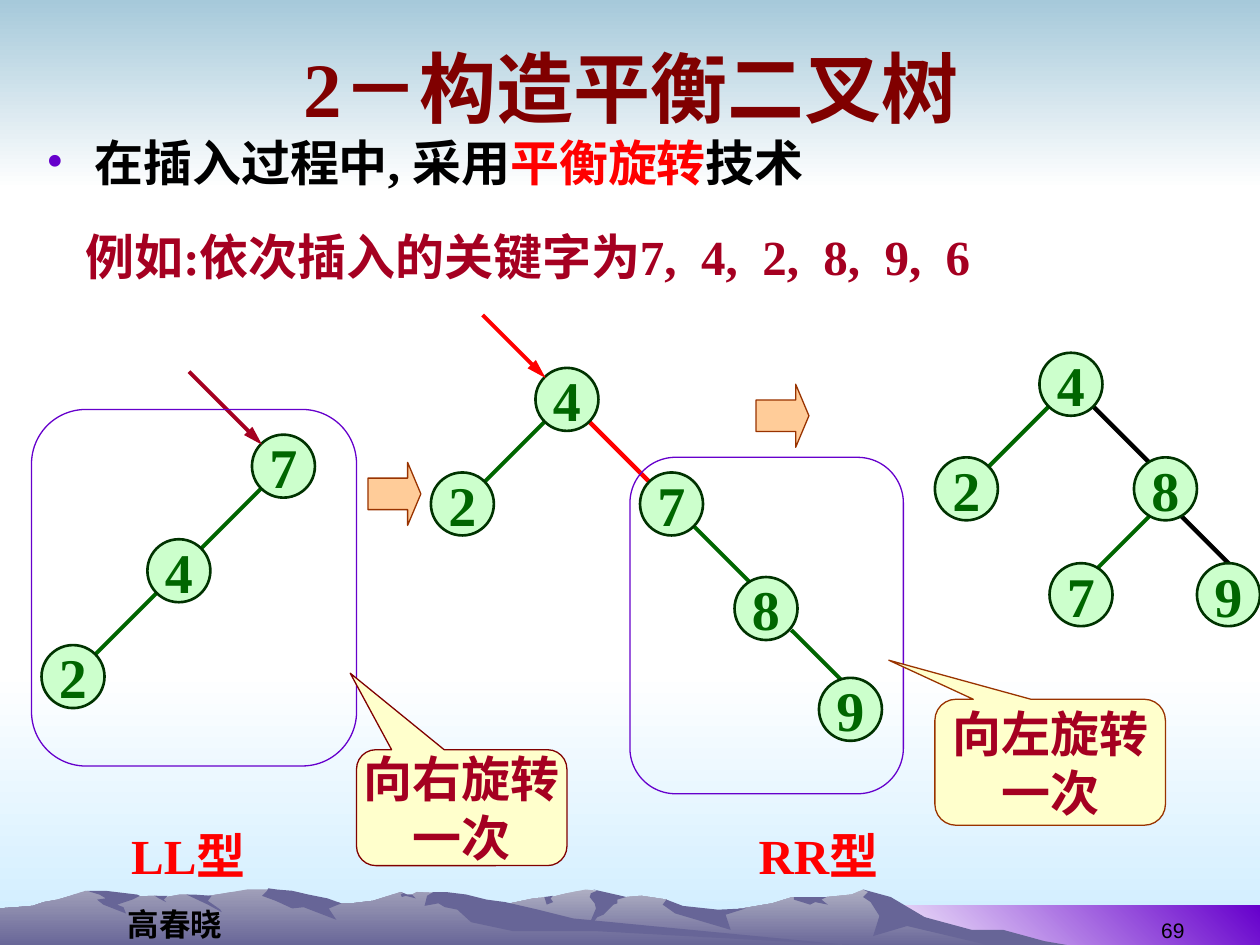
from dataclasses import dataclass

from pptx import Presentation
from pptx.dml.color import RGBColor
from pptx.enum.shapes import MSO_CONNECTOR, MSO_SHAPE
from pptx.enum.text import MSO_ANCHOR, PP_ALIGN
from pptx.oxml.ns import qn
from pptx.util import Emu, Pt
from lxml.etree import SubElement

PX = 9144  # 100 px to the inch
NODE = 50
CORNER = 17  # from a node's centre to its diagonal rim point, on each axis


@dataclass(frozen=True)
class Theme:
    font: str = "Times New Roman"
    cjk_font: str = "Noto Sans CJK SC"
    number_font: str = "Arial"
    title_size: int = 44
    node_size: int = 32
    text_size: int = 28
    footer_size: int = 18
    number_size: int = 12
    black: str = "000000"
    white: str = "FFFFFF"
    red: str = "FF0000"
    crimson: str = "A50021"
    maroon: str = "800000"
    brown: str = "993300"
    purple: str = "6600CC"
    green: str = "006600"
    node_fill: str = "CCFFCC"
    node_line: str = "003300"
    arrow_fill: str = "FFCC99"
    callout_fill: str = "FFFFCC"
    sky: str = "A6C9DA"
    haze: str = "CCECFF"
    far_hill: str = "AEAEC2"
    near_hill: str = "9F9EB8"
    shade: str = "676597"


THEME = Theme()

FAR_HILL = [
    (802, 746), (778, 740), (764, 738), (723, 725), (702, 712), (685, 706), (676, 710),
    (656, 712), (629, 712), (613, 717), (566, 725), (536, 721), (529, 714), (509, 711),
    (486, 713), (474, 707), (465, 706), (450, 709), (438, 712), (424, 713), (405, 717),
    (394, 719), (355, 725), (327, 731), (277, 745), (258, 752), (821, 752)]
NEAR_HILL = [
    (690, 752), (667, 750), (432, 732), (354, 709), (331, 708), (327, 710), (323, 710),
    (318, 708), (296, 715), (279, 717), (271, 717), (260, 715), (236, 717), (223, 708),
    (215, 706), (196, 706), (178, 709), (160, 712), (148, 710), (143, 710), (132, 712),
    (123, 711), (94, 712), (68, 707), (56, 711), (46, 714), (35, 716), (26, 719),
    (14, 720), (0, 721), (0, 752)]
FAR_SHADES = [
    [(796, 738), (771, 738), (734, 728), (707, 712), (685, 706), (689, 708), (685, 712),
     (691, 716), (698, 727), (693, 743), (720, 735), (792, 752), (858, 752), (829, 747)],
    [(471, 706), (474, 707), (469, 709), (468, 712), (472, 717), (473, 721), (465, 740),
     (474, 728), (479, 726), (487, 718), (490, 717), (490, 714), (497, 712), (493, 711)],
    [(529, 714), (526, 718), (536, 725), (580, 738), (576, 726), (592, 721), (570, 722),
     (542, 719)],
    [(650, 712), (630, 712), (630, 714), (643, 718), (647, 716), (657, 718), (652, 714),
     (656, 712)],
    [(433, 715), (432, 712), (439, 711), (437, 713), (439, 716), (434, 718)]]
NEAR_SHADES = [
    [(212, 707), (208, 711), (219, 715), (232, 721), (241, 720), (267, 730), (261, 721),
     (271, 717), (260, 713), (245, 710), (232, 707), (220, 706), (213, 705)],
    [(370, 710), (354, 708), (344, 708), (339, 711), (337, 719), (348, 717), (353, 720),
     (363, 722), (374, 732), (407, 739), (472, 739), (690, 751), (683, 751), (455, 729),
     (427, 722), (401, 716), (386, 714)],
    [(318, 710), (320, 709), (318, 708), (323, 710), (327, 710), (330, 713), (322, 711),
     (319, 712)],
    [(154, 710), (168, 711), (165, 715), (175, 722), (176, 724), (165, 718), (148, 710)],
    [(133, 711), (130, 714), (132, 716), (126, 713), (123, 711)],
    [(109, 710), (111, 711), (105, 714), (93, 718), (98, 720), (100, 725), (82, 718),
     (77, 714), (84, 713), (79, 710), (69, 707), (84, 707)]]


def color(value):
    return RGBColor.from_string(value)


def box(*lengths):
    return [Emu(length * PX) for length in lengths]


def paint(shape, colors, line=None, width=0.75, angle=270):
    """Fill with none, one or two colours; two make a gradient."""
    shape.shadow.inherit = False
    if len(colors) == 2:
        shape.fill.gradient()
        shape.fill.gradient_angle = angle
        for stop, value in zip(shape.fill.gradient_stops, colors):
            stop.color.rgb = color(value)
    elif colors:
        shape.fill.solid()
        shape.fill.fore_color.rgb = color(colors[0])
    else:
        shape.fill.background()
    if line:
        shape.line.color.rgb = color(line)
        shape.line.width = Pt(width)
    else:
        shape.line.fill.background()


def format_run(run, size, value, font=THEME.font, bold=True):
    run.font.size, run.font.bold, run.font.name = Pt(size), bold, font
    run.font.color.rgb = color(value)
    SubElement(run.font._element, qn("a:ea")).set("typeface", THEME.cjk_font)


def write(shape, text, size, value, align=PP_ALIGN.CENTER, anchor=MSO_ANCHOR.MIDDLE,
          wrap=False, **font):
    frame = shape.text_frame
    frame.text = text
    frame.word_wrap, frame.vertical_anchor = wrap, anchor
    for paragraph in frame.paragraphs:
        paragraph.alignment = align
        for run in paragraph.runs:
            format_run(run, size, value, **font)


def add_label(slide, place, text, size, value, anchor=MSO_ANCHOR.TOP, **options):
    write(slide.shapes.add_textbox(*box(*place)), text, size, value, anchor=anchor, **options)


def add_preset(slide, kind, place, colors, line=None, adjustments=(), **options):
    shape = slide.shapes.add_shape(kind, *box(*place))
    for index, value in enumerate(adjustments):
        shape.adjustments[index] = value
    paint(shape, colors, line, **options)
    return shape


def add_outline(slide, points, *colors):
    builder = slide.shapes.build_freeform(*points[0], scale=PX)
    builder.add_line_segments(points[1:], close=True)
    paint(builder.convert_to_shape(), colors)


def add_line(slide, start, end, value, width=2.25, arrow=False):
    line = slide.shapes.add_connector(MSO_CONNECTOR.STRAIGHT, *box(*start, *end))
    line.line.color.rgb = color(value)
    line.line.width = Pt(width)
    if arrow:
        head = SubElement(line.line._get_or_add_ln(), qn("a:tailEnd"))
        head.set("type", "triangle")
        head.set("len", "lg")
    SubElement(line.element.spPr, qn("a:effectLst"))


def add_tree(slide, nodes, edges):
    """Nodes are (key, centre x, centre y); edges are (key, dx, length, colour, width).

    An edge leaves its node dx beside the centre and runs down at 45 degrees.
    """
    centres = {key: (x, y) for key, x, y in nodes}
    for key, dx, length, value, width in edges:
        x, y = centres[key][0] + dx, centres[key][1] + CORNER
        run = length if dx > 0 else -length
        add_line(slide, (x, y), (x + run, y + length), value, width)
    for key, x, y in nodes:
        place = (x - NODE // 2, y - NODE // 2, NODE, NODE)
        node = add_preset(slide, MSO_SHAPE.OVAL, place, [THEME.node_fill],
                          THEME.node_line, width=1.5)
        write(node, key, THEME.node_size, THEME.green)


def add_pointer(slide, x, y, length, value):
    """Arrow running down to the upper left rim of the node centred at x, y."""
    end = (x - CORNER, y - CORNER)
    add_line(slide, (end[0] - length, end[1] - length), end, value, arrow=True)


def add_callout(slide, place, tip, text, line):
    shape = add_preset(slide, MSO_SHAPE.ROUNDED_RECTANGULAR_CALLOUT, place,
                       [THEME.callout_fill], line, (*tip, 0.167))
    write(shape, text, THEME.text_size, THEME.crimson)


def add_background(slide):
    rectangle = MSO_SHAPE.RECTANGLE
    add_preset(slide, rectangle, (0, 533, 1000, 217), [THEME.white, THEME.haze])
    add_preset(slide, rectangle, (0, 0, 1000, 150), [THEME.sky, THEME.white])
    add_preset(slide, rectangle, (683, 719, 317, 33), [THEME.white, THEME.purple], angle=45)
    for hill, top, shades in ((FAR_HILL, THEME.far_hill, FAR_SHADES),
                              (NEAR_HILL, THEME.near_hill, NEAR_SHADES)):
        add_outline(slide, hill, top, THEME.shade)
        for points in shades:
            add_outline(slide, points, THEME.shade)


def add_title(slide, text):
    title = slide.shapes.title
    title.left, title.top, title.width, title.height = box(51, 13, 900, 112)
    write(title, text, THEME.title_size, THEME.maroon, wrap=True)
    slide.shapes.element.append(title.element)  # in front of the background


def add_bullet(slide, place, parts):
    frame = slide.shapes.add_textbox(*box(*place)).text_frame
    frame.word_wrap = True
    paragraph = frame.paragraphs[0]
    for text, value in parts:
        run = paragraph.add_run()
        run.text = text
        format_run(run, THEME.text_size, value)
    properties = paragraph._p.get_or_add_pPr()
    properties.set("marL", str(38 * PX))
    properties.set("indent", str(-38 * PX))
    SubElement(SubElement(properties, qn("a:buClr")), qn("a:srgbClr")).set("val", THEME.purple)
    SubElement(properties, qn("a:buFont")).set("typeface", THEME.font)
    SubElement(properties, qn("a:buChar")).set("char", "•")


def main():
    presentation = Presentation()
    presentation.slide_width, presentation.slide_height = box(1000, 750)
    slide = presentation.slides.add_slide(presentation.slide_layouts[5])
    theme = THEME
    add_background(slide)
    add_label(slide, (91, 713, 96, 40), "高春晓", theme.footer_size, theme.black,
              font=theme.cjk_font)
    add_label(slide, (717, 703, 233, 50), "69", theme.number_size, theme.black,
              MSO_ANCHOR.BOTTOM, align=PP_ALIGN.RIGHT, wrap=True,
              font=theme.number_font, bold=False)
    add_title(slide, "2－构造平衡二叉树")
    add_bullet(slide, (27, 100, 945, 567), [
        ("在插入过程中, 采用", theme.black), ("平衡旋转", theme.red), ("技术", theme.black)])
    add_label(slide, (58, 175, 732, 57), "例如:依次插入的关键字为7,  4,  2,  8,  9,  6",
              theme.text_size, theme.crimson, align=PP_ALIGN.LEFT, wrap=True)

    green, red, black = (theme.green, 2.25), (theme.red, 2.5), (theme.black, 2.5)
    add_tree(slide, [("7", 225, 370), ("4", 142, 453), ("2", 58, 537)],
             [(key, -CORNER, 50, *green) for key in "74"])
    add_tree(slide, [("4", 450, 317), ("2", 367, 400), ("7", 533, 400),
                     ("8", 608, 483), ("9", 675, 563)],
             [("4", -CORNER, 50, *green), ("4", CORNER, 50, *red),
              ("7", CORNER, 50, *green), ("8", 20, 47, *green)])
    add_tree(slide, [("4", 850, 305), ("2", 767, 388), ("8", 925, 388),
                     ("7", 858, 472), ("9", 975, 472)],
             [("4", -CORNER, 50, *green), ("4", CORNER, 50, *black),
              ("8", -8, 50, *green), ("8", 8, 45, *black)])
    add_pointer(slide, 225, 370, 58, theme.crimson)
    add_pointer(slide, 450, 317, 50, theme.red)
    for x, y in ((292, 367), (600, 305)):
        add_preset(slide, MSO_SHAPE.RIGHT_ARROW, (x, y, 42, 50), [theme.arrow_fill],
                   theme.brown, (0.5, 0.25))
    for place in ((500, 363, 217, 267), (25, 325, 258, 283)):
        add_preset(slide, MSO_SHAPE.ROUNDED_RECTANGLE, place, [], theme.purple, (0.167,))
    add_callout(slide, (283, 595, 167, 92), (-0.53, -1.16), "向右旋转\n一次", theme.maroon)
    add_callout(slide, (742, 555, 183, 100), (-0.7, -0.81), "向左旋转\n一次", theme.brown)
    for x, text in ((83, "LL型"), (583, "RR型")):
        add_label(slide, (x, 650, 133, 57), text, theme.text_size, theme.red, wrap=True)
    presentation.save("out.pptx")


if __name__ == "__main__":
    main()
